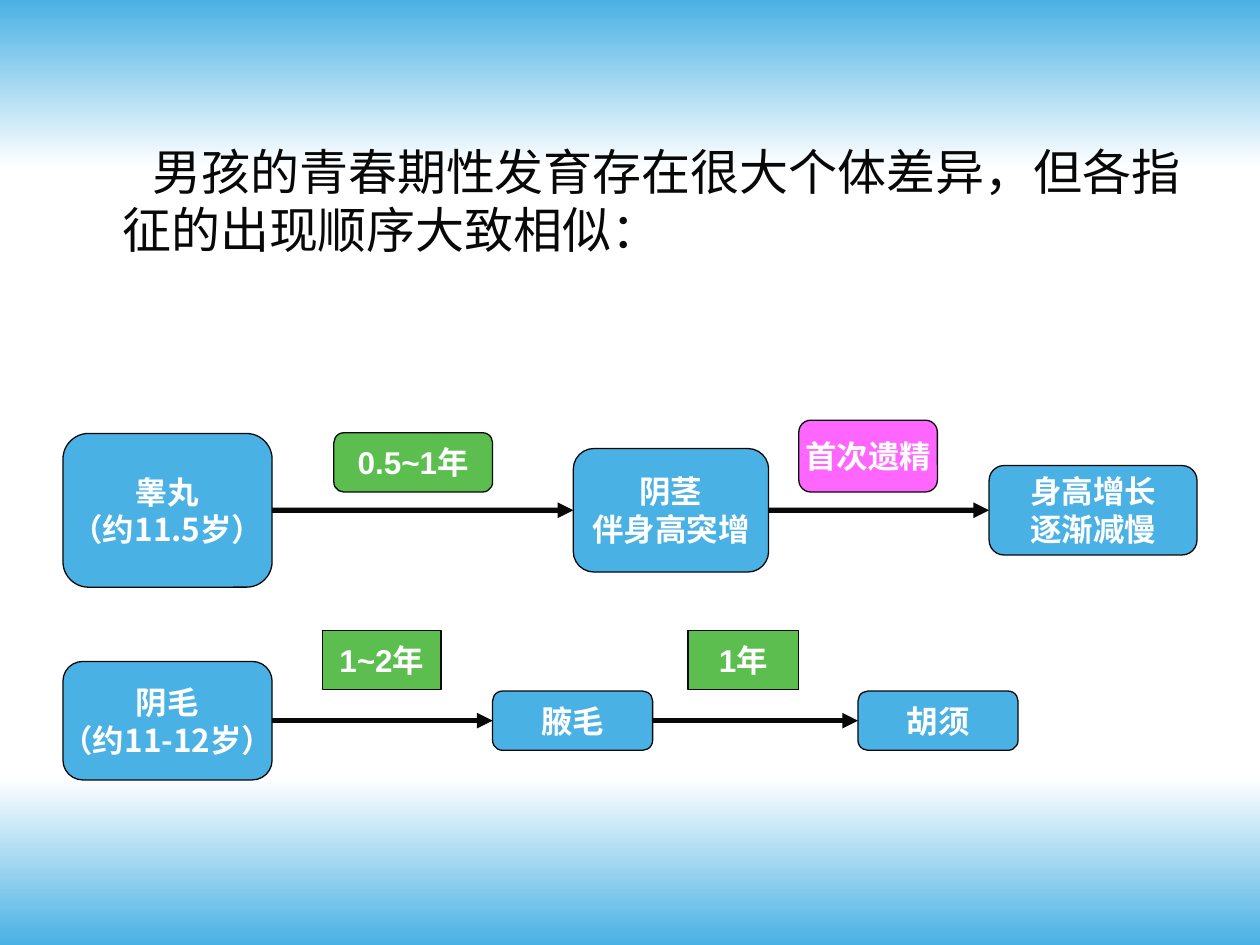
from dataclasses import dataclass

from lxml.etree import SubElement
from pptx import Presentation
from pptx.dml.color import RGBColor
from pptx.enum.shapes import MSO_CONNECTOR, MSO_SHAPE
from pptx.enum.text import MSO_ANCHOR, PP_ALIGN
from pptx.oxml.ns import qn
from pptx.util import Inches, Pt

COLORS = {"blue": "4AB1E4", "green": "5BBE4E", "pink": "FF66FF",
          "ink": "080808", "white": "FFFFFF"}
CJK_FONT = "Noto Sans CJK SC"
ROUNDED = MSO_SHAPE.FLOWCHART_ALTERNATE_PROCESS
SQUARE = MSO_SHAPE.FLOWCHART_PROCESS
TOP_ROW, BOTTOM_ROW = 4.05, 5.72
LEFT_SIDE, RIGHT_SIDE = 1, 3


@dataclass
class Box:
    lines: list[str]
    left: float
    middle: float
    width: float
    height: float
    color: str = "blue"
    font: str = "Arial"
    outline: MSO_SHAPE = ROUNDED


def rgb(name: str) -> RGBColor:
    return RGBColor.from_string(COLORS[name])


def add_run(paragraph, text: str, size: int, color: str, font: str, bold: bool) -> None:
    run = paragraph.add_run()
    run.text = text
    run.font.size, run.font.bold, run.font.name = Pt(size), bold, font
    run.font.color.rgb = rgb(color)
    SubElement(run.font._element, qn("a:ea"), typeface=CJK_FONT)


def add_band(slide, top: float, colors: tuple[str, str]) -> None:
    band = slide.shapes.add_shape(MSO_SHAPE.RECTANGLE, 0, Inches(top),
                                  Inches(10), Inches(1.33))
    band.shadow.inherit = False
    band.line.fill.background()
    band.fill.gradient()
    band.fill.gradient_angle = 270
    for stop, position, color in zip(band.fill.gradient_stops, (0, 1), colors):
        stop.position = position
        stop.color.rgb = rgb(color)


def add_box(slide, box: Box):
    shape = slide.shapes.add_shape(
        box.outline, Inches(box.left), Inches(box.middle - box.height / 2),
        Inches(box.width), Inches(box.height))
    shape.shadow.inherit = False
    shape.fill.solid()
    shape.fill.fore_color.rgb = rgb(box.color)
    shape.line.color.rgb = rgb("ink")
    shape.line.width = Pt(0.75)
    frame = shape.text_frame
    frame.word_wrap = False
    frame.vertical_anchor = MSO_ANCHOR.MIDDLE
    for index, line in enumerate(box.lines):
        paragraph = frame.add_paragraph() if index else frame.paragraphs[0]
        paragraph.alignment = PP_ALIGN.CENTER
        add_run(paragraph, line, 18, "white", box.font, True)
    return shape


def add_arrow(slide, start, end) -> None:
    arrow = slide.shapes.add_connector(MSO_CONNECTOR.STRAIGHT, 0, 0, 0, 0)
    arrow.begin_connect(start, RIGHT_SIDE)
    arrow.end_connect(end, LEFT_SIDE)
    arrow.line.color.rgb = rgb("ink")
    arrow.line.width = Pt(3)
    SubElement(arrow.line._get_or_add_ln(), qn("a:tailEnd"), type="triangle")
    SubElement(arrow._element.spPr, qn("a:effectLst"))


STAGE_ROWS = [
    [Box(["睾丸", "（约11.5岁）"], 0.5, TOP_ROW, 1.66, 1.22, font=CJK_FONT),
     Box(["阴茎", "伴身高突增"], 4.55, TOP_ROW, 1.55, 0.98),
     Box(["身高增长", "逐渐减慢"], 7.85, TOP_ROW, 1.65, 0.71)],
    [Box(["阴毛", "（约11-12岁）"], 0.5, BOTTOM_ROW, 1.66, 0.94, font=CJK_FONT),
     Box(["腋毛"], 3.91, BOTTOM_ROW, 1.27, 0.47),
     Box(["胡须"], 6.81, BOTTOM_ROW, 1.27, 0.47)],
]
INTERVALS = [
    Box(["0.5~1年"], 2.65, 3.67, 1.26, 0.47, "green"),
    Box(["首次遗精"], 6.34, 3.62, 1.1, 0.57, "pink"),
    Box(["1~2年"], 2.56, 5.24, 0.94, 0.47, "green", outline=SQUARE),
    Box(["1年"], 5.46, 5.24, 0.88, 0.47, "green", outline=SQUARE),
]


def main() -> None:
    prs = Presentation()
    prs.slide_width, prs.slide_height = Inches(10), Inches(7.5)
    slide = prs.slides.add_slide(prs.slide_layouts[1])
    title, intro = slide.placeholders
    title._element.getparent().remove(title._element)

    # Background bands, behind the introduction
    add_band(slide, 0, ("blue", "white"))
    add_band(slide, 6.17, ("white", "blue"))
    slide.shapes._spTree.append(intro._element)

    # Introduction
    intro.left, intro.top = Inches(0.5), Inches(1.07)
    intro.width, intro.height = Inches(9), Inches(1.26)
    sentence = intro.text_frame.paragraphs[0]
    properties = sentence._p.get_or_add_pPr()
    properties.set("marL", str(Inches(0.37)))
    properties.set("indent", str(Inches(0.24)))
    sentence.space_before = Pt(0)
    SubElement(properties, qn("a:buNone"))
    add_run(sentence, "男孩的青春期性发育存在很大个体差异，但各指征的出现顺序大致相似：",
            28, "ink", "Arial", False)

    # Development stages joined by arrows
    for row in STAGE_ROWS:
        stages = [add_box(slide, box) for box in row]
        for start, end in zip(stages, stages[1:]):
            add_arrow(slide, start, end)

    # Time between stages
    for interval in INTERVALS:
        add_box(slide, interval)

    prs.save("out.pptx")


if __name__ == "__main__":
    main()
